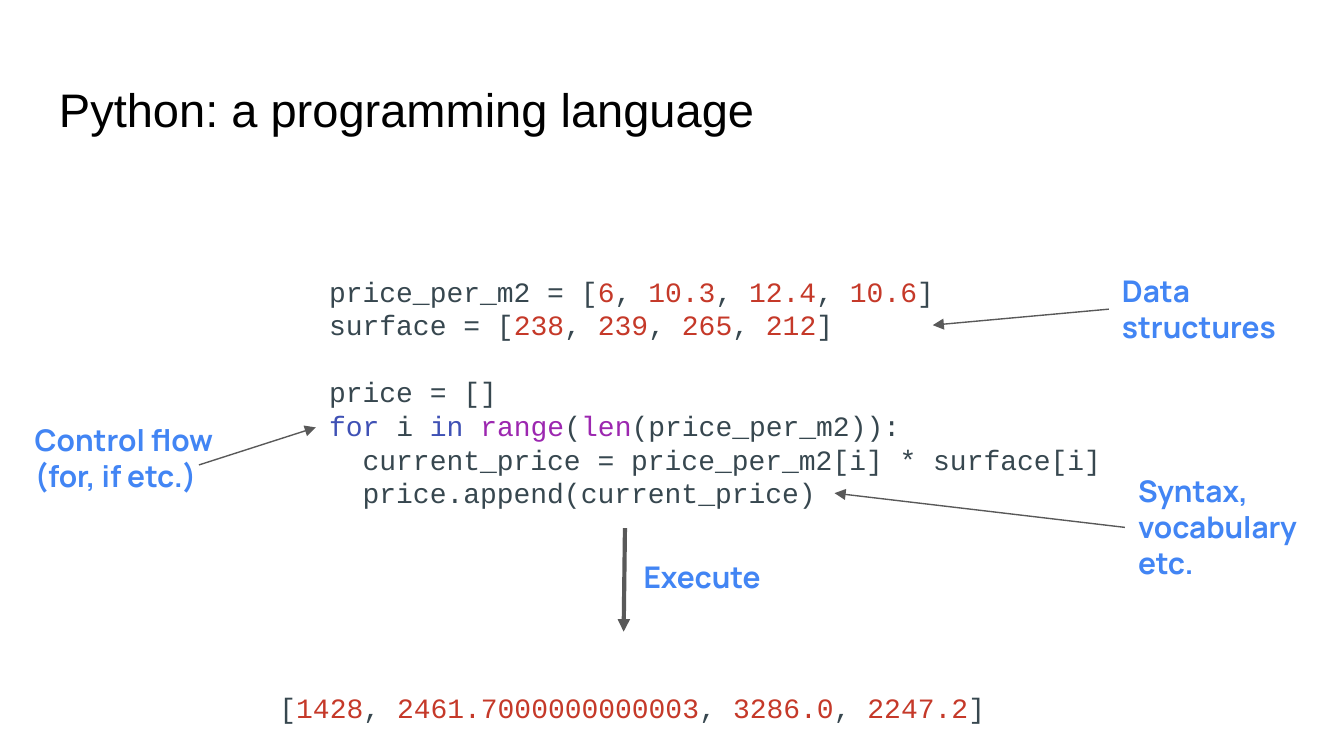
from lxml import etree
from pptx import Presentation
from pptx.dml.color import RGBColor
from pptx.enum.shapes import MSO_CONNECTOR as CONN
from pptx.enum.text import MSO_ANCHOR as ANCHOR
from pptx.oxml.ns import qn
from pptx.util import Pt

COLORS = {
    "title": "000000",
    "code": "37474F",
    "number": "C53929",
    "keyword": "3F51B5",
    "builtin": "9C27B0",
    "label": "4285F4",
    "arrow": "595959",
}

prs = Presentation()
prs.slide_width, prs.slide_height = Pt(720), Pt(405)
s = prs.slides.add_slide(prs.slide_layouts[6])


def add_text(box, lines, font, size, bold=False):
    """Add a text box; each line is a list of (text, colour name) runs."""
    sp = s.shapes.add_textbox(*[Pt(v) for v in box])
    tf = sp.text_frame
    tf.word_wrap = True
    tf.margin_left = tf.margin_right = tf.margin_top = tf.margin_bottom = Pt(7.2)
    for i, runs in enumerate(lines):
        p = tf.add_paragraph() if i else tf.paragraphs[0]
        for text, color in runs:
            r = p.add_run()
            r.text = text
            r.font.name, r.font.size, r.font.bold = font, Pt(size), bold
            r.font.color.rgb = RGBColor.from_string(COLORS[color])
    return sp


def list_runs(prefix, numbers):
    """Runs of a list literal with its numbers highlighted."""
    runs = [(prefix + "[", "code")]
    for i, number in enumerate(numbers):
        if i:
            runs.append((", ", "code"))
        runs.append((number, "number"))
    return runs + [("]", "code")]


# Title
title = add_text((24.5, 35.3, 671, 45.4),
                 [[("Python: a programming language", "title")]], "Arial", 25.2)
title.text_frame.vertical_anchor = ANCHOR.MIDDLE

# Code
code_lines = [
    list_runs("price_per_m2 = ", ["6", "10.3", "12.4", "10.6"]),
    list_runs("surface = ", ["238", "239", "265", "212"]),
    [("price = []", "code")],
    [("for", "keyword"), (" i ", "code"), ("in ", "keyword"),
     ("range", "builtin"), ("(", "code"), ("len", "builtin"),
     ("(price_per_m2)):", "code")],
    [("  current_price = price_per_m2[i] * surface[i]", "code")],
    [("  price.append(current_price)", "code")],
]
code = add_text((169.2, 139, 442, 141.8), code_lines, "Courier New", 15)
code.text_frame.vertical_anchor = ANCHOR.MIDDLE
for p in code.text_frame.paragraphs:
    p.line_spacing = Pt(18)
code.text_frame.paragraphs[2].space_before = Pt(18)

# Result
result = add_text((142.6, 353.5, 494.6, 32.4),
                  [list_runs("", ["1428", "2461.7000000000003", "3286.0", "2247.2"])],
                  "Courier New", 15)
result.text_frame.paragraphs[0].line_spacing = 1.5

# Labels
labels = {}
for text, box in [
    ("Data structures", (594, 139, 105.8, 53.3)),
    ("Control flow (for, if etc.)", (11.5, 218.9, 117.4, 53.3)),
    ("Syntax, vocabulary etc.", (602.6, 246.2, 117.4, 72.7)),
    ("Execute", (337.7, 292.3, 117.4, 33.8)),
]:
    labels[text] = add_text(box, [[(text, "label")]], "Manrope", 16, bold=True)

# Arrows: start, end, width, label whose left side is the start
for start, end, width, label in [
    ((594, 165.6), (499.7, 174.2), 0.75, "Data structures"),
    ((106.6, 249.1), (169.2, 229), 0.75, None),
    ((602.6, 282.6), (447.1, 264.2), 0.75, "Syntax, vocabulary etc."),
    ((334.8, 283), (334.1, 338.4), 2.25, None),
]:
    arrow = s.shapes.add_connector(CONN.STRAIGHT, *[Pt(v) for v in start + end])
    if label:
        arrow.begin_connect(labels[label], 1)
    arrow.line.width = Pt(width)
    arrow.line.color.rgb = RGBColor.from_string(COLORS["arrow"])
    etree.SubElement(arrow.line._get_or_add_ln(), qn("a:tailEnd"), type="triangle")
    etree.SubElement(arrow._element.spPr, qn("a:effectLst"))

prs.save("out.pptx")
